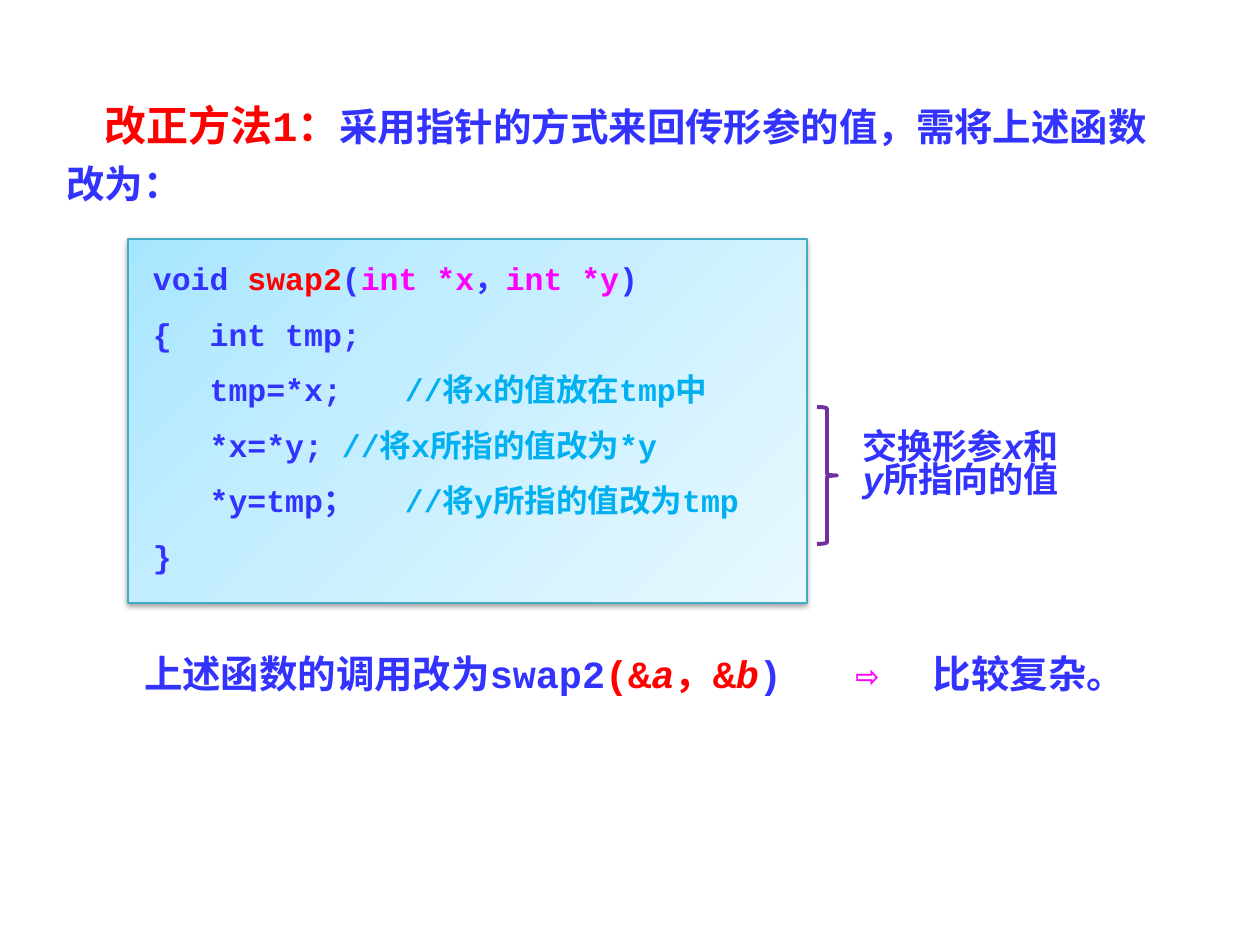
from copy import deepcopy
from lxml.etree import SubElement
from pptx import Presentation
from pptx.dml.color import RGBColor
from pptx.enum.shapes import MSO_SHAPE
from pptx.enum.text import MSO_ANCHOR, PP_ALIGN
from pptx.oxml.ns import qn
from pptx.util import Pt

PX = 914400 / 126
BLUE, RED, PINK, SKY = "3333FF", "FF0000", "FF00FF", "00B0F0"


def tint(color, code):
    color.rgb = RGBColor.from_string(code)


def write(frame, lines, size, form):
    """Each line is a list of (text, colour, further font values)."""
    frame.word_wrap = True
    frame.vertical_anchor = MSO_ANCHOR.TOP
    for num, line in enumerate(lines):
        para = frame.add_paragraph() if num else frame.paragraphs[0]
        for key, value in form.items():
            setattr(para, key, value)
        if num:
            para.space_before = Pt(10.2)
        for text, code, *more in line:
            run = para.add_run()
            run.text = text
            look = {"name": "Courier New", "size": Pt(size), "bold": True}
            for extra in more:
                look.update(extra)
            for key, value in look.items():
                setattr(run.font, key, value)
            tint(run.font.color, code)


deck = Presentation()
deck.slide_width, deck.slide_height = round(1260 * PX), round(945 * PX)
page = deck.slides.add_slide(deck.slide_layouts[6])
shapes = page.shapes
slant = {"italic": True}

# Plain text: box, size, paragraph format, lines
texts = [
    ((54, 88, 1134, 121), 22, {"line_spacing": Pt(32)},
     [[("改正方法1：", RED, {"size": Pt(24)}),
       ("采用指针的方式来回传形参的值，需将上述函数改为：", BLUE)]]),
    ((108, 653, 1053, 60), 22, {"line_spacing": 0.8},
     [[("上述函数的调用改为swap2", BLUE), ("(&", RED), ("a", RED, slant),
       ("，&", RED), ("b", RED, slant), (")\t", BLUE), ("⇨\t", PINK),
       ("比较复杂。", BLUE)]]),
    ((847, 426, 227, 106), 20,
     {"line_spacing": 0.8, "alignment": PP_ALIGN.CENTER},
     [[("交换形参", BLUE), ("x", BLUE, slant), ("和", BLUE),
       ("y", BLUE, slant), ("所指向的值", BLUE)]]),
]
frames = []
for box, size, form, lines in texts:
    frame = shapes.add_textbox(*[round(n * PX) for n in box]).text_frame
    frames.append(frame)
    write(frame, lines, size, form)

# Indent of the heading, tab stops around the arrow
head, call, note = frames
head.paragraphs[0]._p.get_or_add_pPr().set("indent", str(round(38 * PX)))
call.margin_left = round(36 * PX)
tabs = SubElement(call.paragraphs[0]._p.get_or_add_pPr(), qn("a:tabLst"))
for stop in (711, 789):
    SubElement(tabs, qn("a:tab"), pos=str(round(stop * PX)), algn="l")

# Code panel
panel = shapes.add_shape(MSO_SHAPE.RECTANGLE,
                         *[round(n * PX) for n in (128, 239, 679, 364)])
panel.shadow.inherit = False
fill = panel.fill
fill.gradient()
fill.gradient_angle = 315
stops = panel._element.spPr.find(qn("a:gradFill")).find(qn("a:gsLst"))
stops.append(deepcopy(stops[-1]))
shades = [(0, "A7E6FF"), (0.35, "C1EDFF"), (1, "E7F8FF")]
for stop, (place, code) in zip(fill.gradient_stops, shades):
    stop.position = place
    tint(stop.color, code)
tint(panel.line.color, "46AAC5")
panel.line.width = Pt(0.75)

# Soft shadow below the panel
glow = SubElement(panel._element.spPr.find(qn("a:effectLst")),
                  qn("a:outerShdw"), blurRad=str(Pt(3.1)), dist=str(Pt(1.6)),
                  dir="5400000", rotWithShape="0")
black = SubElement(glow, qn("a:srgbClr"), val="000000")
SubElement(black, qn("a:alpha"), val="38000")

# Code
code = panel.text_frame
for side, gap in {"left": 25, "right": 25, "top": 20, "bottom": 20}.items():
    setattr(code, "margin_" + side, round(gap * PX))
write(code, [
    [("void ", BLUE), ("swap2", RED), ("(", BLUE), ("int *x", PINK),
     ("，", BLUE), ("int *y", PINK), (")", BLUE)],
    [("{  int tmp;", BLUE)],
    [("   tmp=*x;\t", BLUE), ("//将x的值放在tmp中", SKY)],
    [("   *x=*y;\t", BLUE), ("//将x所指的值改为*y", SKY)],
    [("   *y=tmp；\t", BLUE), ("//将y所指的值改为tmp", SKY)],
    [("}", BLUE)],
], 18, {"alignment": PP_ALIGN.LEFT})

# Brace
brace = shapes.add_shape(MSO_SHAPE.RIGHT_BRACE,
                         *[round(n * PX) for n in (817, 407, 20, 137)])
brace.shadow.inherit = False
brace.fill.background()
tint(brace.line.color, "7030A0")
brace.line.width = Pt(2.25)

deck.save("out.pptx")
